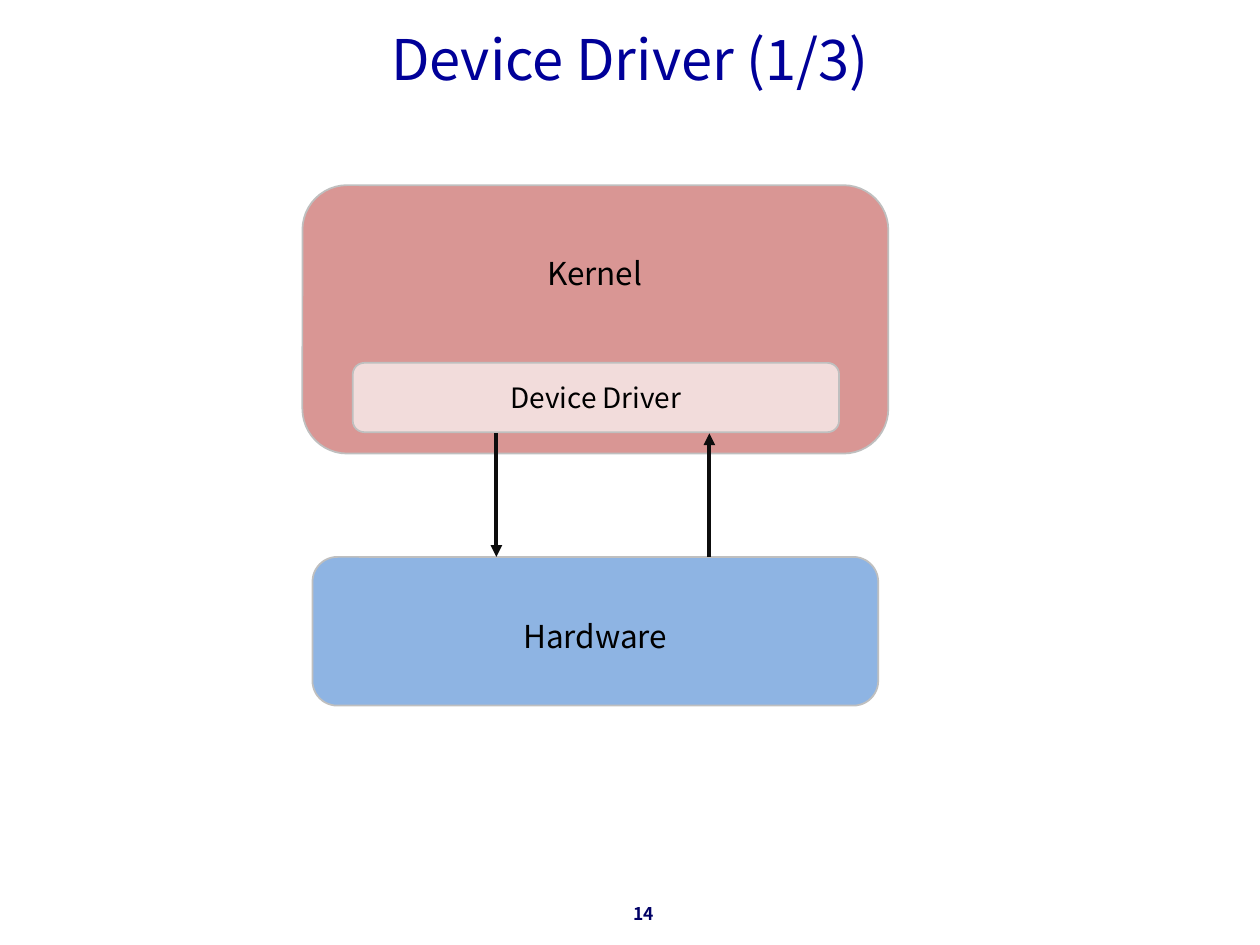
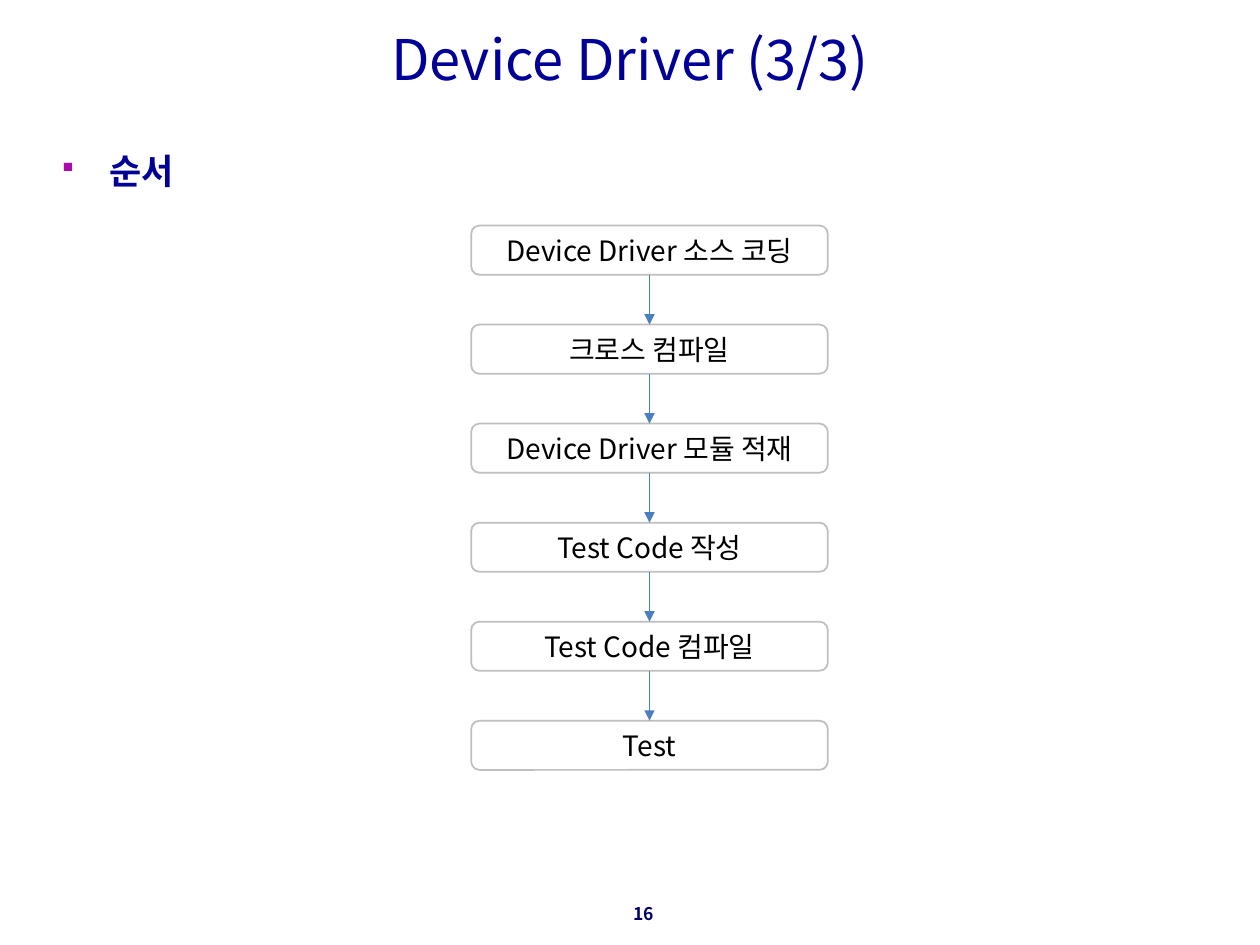
"""Build two device driver slides: the kernel diagram and the work order."""
from dataclasses import dataclass

from lxml import etree
from pptx import Presentation, util as u
from pptx.dml.color import RGBColor
from pptx.enum import shapes, text
from pptx.oxml import ns


@dataclass(frozen=True)
class Theme:
    font: str = "Noto Sans CJK KR"
    title: str = "000099"
    number: str = "000066"
    bullet: str = "AC08AC"
    ink: str = "000000"
    border: str = "BFBFBF"
    kernel: str = "D99694"
    driver: str = "F2DCDB"
    hardware: str = "8EB4E3"
    step: str = "FFFFFF"
    data_arrow: str = "0D0D0D"
    step_arrow: str = "4B7EBC"
    title_size: int = 32
    heading_size: int = 20
    label_size: int = 18
    box_size: int = 16
    number_size: int = 10


class Deck:
    def __init__(self, prs, theme):
        self.prs, self.theme, self.s = prs, theme, None

    def slide(self, title, number):
        t = self.theme
        self.s = self.prs.slides.add_slide(self.prs.slide_layouts[6])
        self.text(number, (3.21, 7.15, 2.08, 0.34), t.number_size, t.number, bold=True,
                  align=text.PP_ALIGN.RIGHT, anchor=text.MSO_ANCHOR.TOP, margin_top=0.02)
        self.text(title, (0.5, 0.16, 9, 0.7), t.title_size, t.title,
                  margin_top=0, margin_bottom=0.09)

    def put_words(self, sp, words, size, color, bold=False, align=text.PP_ALIGN.CENTER,
                  anchor=text.MSO_ANCHOR.MIDDLE, **margins):
        tf = sp.text_frame
        frame = {"word_wrap": True, "vertical_anchor": anchor}
        frame.update({side: u.Inches(gap) for side, gap in margins.items()})
        for name, value in frame.items():
            setattr(tf, name, value)
        p = tf.paragraphs[0]
        p.alignment = align
        r = p.add_run()
        r.text = words
        for name, value in {"name": self.theme.font, "size": u.Pt(size), "bold": bold}.items():
            setattr(r.font, name, value)
        r.font.color.rgb = RGBColor.from_string(color)
        etree.SubElement(r._r.get_or_add_rPr(), ns.qn("a:ea"), typeface=self.theme.font)
        return p

    def text(self, words, at, size, color, **style):
        sp = self.s.shapes.add_textbox(*map(u.Inches, at))
        return self.put_words(sp, words, size, color, **style)

    def label(self, words, at):
        self.text(words, at, self.theme.label_size, self.theme.ink)

    def heading(self, words, at):
        t = self.theme
        p = self.text(words, at, t.heading_size, t.title, bold=True,
                      align=text.PP_ALIGN.LEFT, anchor=text.MSO_ANCHOR.TOP, margin_top=0.02)
        pPr = p._p.get_or_add_pPr()
        indent = u.Inches(0.38)
        pPr.set("marL", str(indent))
        pPr.set("indent", str(-indent))
        color = etree.SubElement(pPr, ns.qn("a:buClr"))
        etree.SubElement(color, ns.qn("a:srgbClr"), val=t.bullet)
        etree.SubElement(pPr, ns.qn("a:buSzPct"), val="80000")
        etree.SubElement(pPr, ns.qn("a:buFont"), typeface="Wingdings")
        etree.SubElement(pPr, ns.qn("a:buChar"), char="§")

    def box(self, at, fill, words=None):
        t = self.theme
        sp = self.s.shapes.add_shape(shapes.MSO_SHAPE.ROUNDED_RECTANGLE, *map(u.Inches, at))
        sp.shadow.inherit = False
        sp.fill.solid()
        sp.fill.fore_color.rgb = RGBColor.from_string(fill)
        sp.line.color.rgb = RGBColor.from_string(t.border)
        sp.line.width = u.Pt(1)
        if words:
            self.put_words(sp, words, t.box_size, t.ink)

    def arrow(self, x, start, end, color, width):
        sp = self.s.shapes.add_connector(
            shapes.MSO_CONNECTOR.STRAIGHT, *map(u.Inches, (x, start, x, end)))
        sp.line.color.rgb = RGBColor.from_string(color)
        sp.line.width = u.Pt(width)
        spPr = sp._element.spPr
        etree.SubElement(spPr.find(ns.qn("a:ln")), ns.qn("a:tailEnd"), type="triangle")
        etree.SubElement(spPr, ns.qn("a:effectLst"))


def kernel_slide(deck):
    t = deck.theme
    deck.slide("Device Driver (1/3)", "14")
    deck.box((2.4, 1.47, 4.65, 2.13), t.kernel)
    deck.box((2.8, 2.88, 3.86, 0.55), t.driver, "Device Driver")
    deck.box((2.48, 4.42, 4.49, 1.18), t.hardware)
    deck.label("Kernel", (4.17, 1.97, 1.1, 0.4))
    deck.label("Hardware", (3.94, 4.85, 1.57, 0.4))
    driver_bottom, hardware_top = 3.44, 4.42
    deck.arrow(3.94, driver_bottom, hardware_top, t.data_arrow, 2.25)
    deck.arrow(5.63, hardware_top, driver_bottom, t.data_arrow, 2.25)


def order_slide(deck):
    t = deck.theme
    deck.slide("Device Driver (3/3)", "16")
    deck.heading("순서", (0.39, 1.17, 9.21, 5.55))
    steps = ["Device Driver 소스 코딩", "크로스 컴파일", "Device Driver 모듈 적재",
             "Test Code 작성", "Test Code 컴파일", "Test"]
    left, width, height = 3.74, 2.83, 0.39
    first, last = 1.79, 5.72
    pitch = (last - first) / (len(steps) - 1)
    tops = [first + i * pitch for i in range(len(steps))]
    for top, words in zip(tops, steps):
        deck.box((left, top, width, height), t.step, words)
    for top, following in zip(tops, tops[1:]):
        deck.arrow(left + width / 2, top + height, following, t.step_arrow, 0.75)


def main():
    prs = Presentation()
    prs.slide_width, prs.slide_height = u.Inches(10), u.Inches(7.5)
    deck = Deck(prs, Theme())
    kernel_slide(deck)
    order_slide(deck)
    prs.save("out.pptx")


if __name__ == "__main__":
    main()
